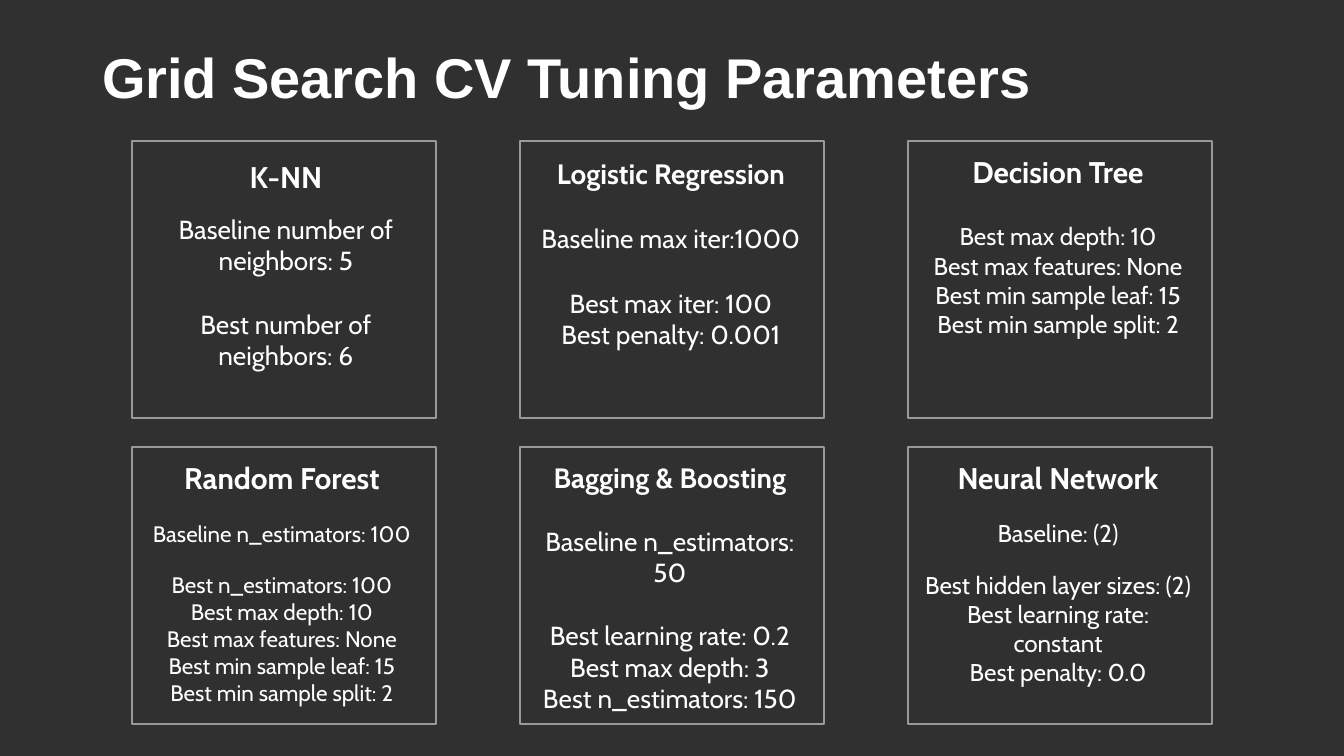
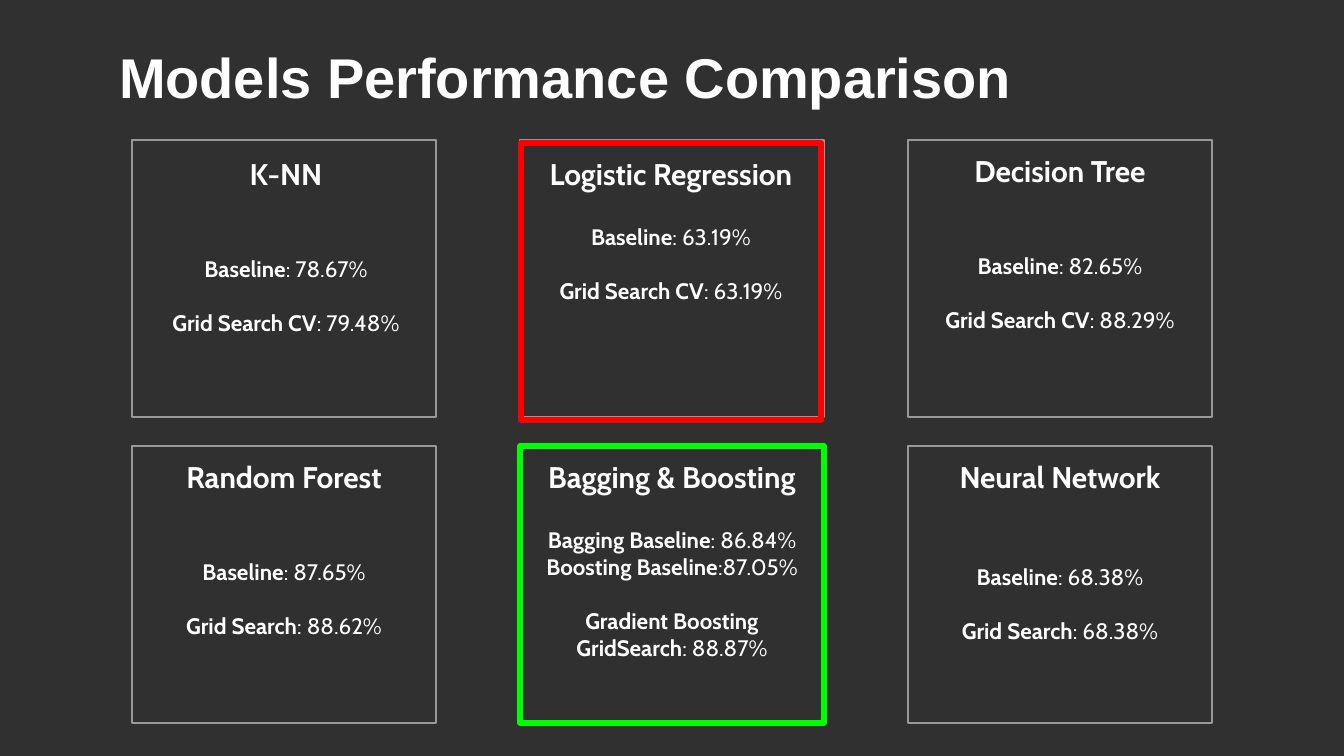
from dataclasses import dataclass

from pptx import Presentation
from pptx.dml.color import RGBColor
from pptx.enum.shapes import MSO_SHAPE as Shape
from pptx.enum.text import MSO_ANCHOR as Anchor, MSO_AUTO_SIZE as AutoSize, PP_ALIGN as Align
from pptx.util import Emu, Pt

SCALE = 914400 / 134.4  # EMU in one px


@dataclass
class Theme:
    back: str = "303030"
    ink: str = "FFFFFF"
    frame: str = "999999"
    worst: str = "FF0000"
    best: str = "00FF00"
    title_font: str = "Arial"
    body_font: str = "Cabin"
    title: int = 30
    heading: int = 16
    small_heading: int = 15
    score: int = 12
    thin: float = 1.5
    thick: float = 3
    inset: int = 13


theme = Theme()


def add_frame(slide, box, color, weight):
    frame = slide.shapes.add_shape(Shape.RECTANGLE, *box)
    frame.shadow.inherit = False
    frame.fill.background()
    frame.line.color.rgb = RGBColor.from_string(color)
    frame.line.width = Pt(weight)
    return frame


def write(holder, lines, font, align, anchor=Anchor.TOP):
    """Each line is (size, space before, bold part, plain part)."""
    text = holder.text_frame
    inset = Emu(round(theme.inset * SCALE))
    layout = dict(word_wrap=True, auto_size=AutoSize.NONE, vertical_anchor=anchor,
                  margin_left=inset, margin_right=inset, margin_top=inset, margin_bottom=inset)
    for key, value in layout.items():
        setattr(text, key, value)
    for number, (size, gap, label, plain) in enumerate(lines):
        paragraph = text.add_paragraph() if number else text.paragraphs[0]
        paragraph.alignment = align
        paragraph.space_before = Pt(gap)
        for words, bold in ((label, True), (plain, False)):
            if words:
                run = paragraph.add_run()
                run.text = words
                for key, value in dict(name=font, size=Pt(size), bold=bold).items():
                    setattr(run.font, key, value)
                run.font.color.rgb = RGBColor.from_string(theme.ink)


# Content: title, title left, grid top, cards.
# A card: heading, heading size, body size, text box within its cell
# (None puts the text in the frame), accent colour, lines (gap, bold, plain).
CELL = (0, 0, 300, 277)
SHIFTED = (1, 3, 300, 277)
big, small, score = theme.heading, theme.small_heading, theme.score

tuning = [
    ("K-NN", big, 14, (4, 5, 300, 267), None, [
        (10, "", "Baseline number of neighbors: 5"),
        (17, "", "Best number of neighbors: 6")]),
    ("Logistic Regression", small, 14, SHIFTED, None, [
        (17, "", "Baseline max iter:1000"),
        (18, "", "Best max iter: 100"),
        (0, "", "Best penalty: 0.001")]),
    ("Decision Tree", big, 13, CELL, None, [
        (17, "", "Best max depth: 10"),
        (0, "", "Best max features: None"),
        (0, "", "Best min sample leaf: 15"),
        (0, "", "Best min sample split: 2")]),
    ("Random Forest", big, 12, CELL, None, [
        (13, "", "Baseline n_estimators: 100"),
        (13, "", "Best n_estimators: 100"),
        (0, "", "Best max depth: 10"),
        (0, "", "Best max features: None"),
        (0, "", "Best min sample leaf: 15"),
        (0, "", "Best min sample split: 2")]),
    ("Bagging & Boosting", small, 14, CELL, None, [
        (17, "", "Baseline n_estimators: 50"),
        (17, "", "Best learning rate: 0.2"),
        (0, "", "Best max depth: 3"),
        (0, "", "Best n_estimators: 150")]),
    ("Neural Network", big, 13, CELL, None, [
        (12, "", "Baseline: (2)"),
        (12, "", "Best hidden layer sizes: (2)"),
        (0, "", "Best learning rate: constant"),
        (0, "", "Best penalty: 0.0")]),
]

performance = [
    ("K-NN", big, score, (4, 3, 300, 267), None, [
        (34, "Baseline", ": 78.67%"), (14.5, "Grid Search CV", ": 79.48%")]),
    ("Logistic Regression", big, score, SHIFTED, theme.worst, [
        (17, "Baseline", ": 63.19%"), (14.5, "Grid Search CV", ": 63.19%")]),
    ("Decision Tree", big, score, None, None, [
        (34, "Baseline", ": 82.65%"), (14.5, "Grid Search CV", ": 88.29%")]),
    ("Random Forest", big, score, None, None, [
        (34, "Baseline", ": 87.65%"), (14.5, "Grid Search", ": 88.62%")]),
    ("Bagging & Boosting", big, score, None, theme.best, [
        (17, "Bagging Baseline", ": 86.84%"), (0, "Boosting Baseline", ":87.05%"),
        (14.5, "Gradient Boosting GridSearch", ": 88.87%")]),
    ("Neural Network", big, score, None, None, [
        (36.5, "Baseline", ": 68.38%"), (14.5, "Grid Search", ": 68.38%")]),
]

pages = [
    ("Grid Search CV Tuning Parameters", 89, 141, tuning),
    ("Models Performance Comparison", 106, 140, performance),
]

# Grid of cards
GRID_LEFT, COLUMN_STEP, ROW_STEP, COLUMNS = 132, 388, 306, 3
CARD_WIDTH, CARD_HEIGHT = 304, 277

# Deck
deck = Presentation()
deck.slide_width = Emu(round(1344 * SCALE))
deck.slide_height = Emu(round(756 * SCALE))
backdrop = deck.slide_master.background.fill
backdrop.solid()
backdrop.fore_color.rgb = RGBColor.from_string(theme.back)

for headline, title_left, grid_top, cards in pages:
    slide = deck.slides.add_slide(deck.slide_layouts[5])

    # Title
    title = slide.shapes.title
    place = dict(left=title_left, top=24, width=1133, height=94)
    for side, length in place.items():
        setattr(title, side, Emu(round(length * SCALE)))
    write(title, [(theme.title, 0, headline, "")], theme.title_font, Align.LEFT, Anchor.MIDDLE)
    title.text_frame.paragraphs[0].line_spacing = 1.15

    # Frames
    frames = []
    for number, (heading, heading_size, size, inner, accent, lines) in enumerate(cards):
        row, column = divmod(number, COLUMNS)
        left, top = GRID_LEFT + column * COLUMN_STEP, grid_top + row * ROW_STEP
        marked = accent and not inner
        box = [Emu(round(v * SCALE)) for v in (left, top, CARD_WIDTH, CARD_HEIGHT)]
        frames.append(add_frame(slide, box, accent if marked else theme.frame,
                                theme.thick if marked else theme.thin))

    # Card text
    for frame, (heading, heading_size, size, inner, accent, lines) in zip(frames, cards):
        holder = frame
        if inner:
            dx, dy, width, height = (Emu(round(v * SCALE)) for v in inner)
            box = (frame.left + dx, frame.top + dy, width, height)
            holder = (add_frame(slide, box, accent, theme.thick) if accent
                      else slide.shapes.add_textbox(*box))
        body = [(size, *line) for line in lines]
        write(holder, [(heading_size, 0, heading, "")] + body, theme.body_font, Align.CENTER)

deck.save("out.pptx")
